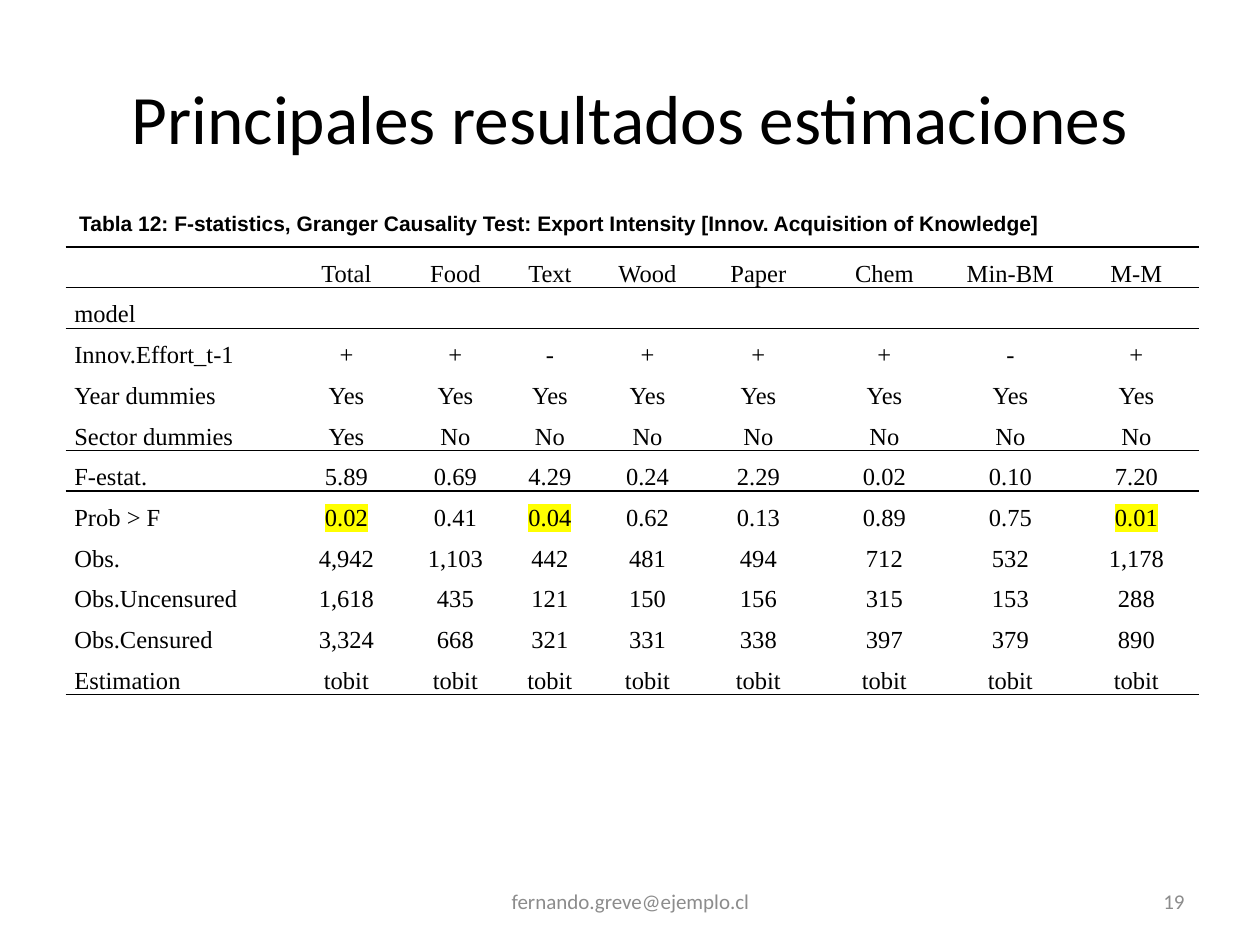
import dataclasses

import pptx
import pptx.dml.color
import pptx.enum.text
import pptx.oxml.ns
import pptx.util
from lxml import etree

Inches, Pt = pptx.util.Inches, pptx.util.Pt
ALIGN = pptx.enum.text.PP_ALIGN
MIDDLE = pptx.enum.text.MSO_ANCHOR.MIDDLE
qn = pptx.oxml.ns.qn

COLORS = {"text": "000000", "footer": "8C8C8C", "mark": "FFFF00"}
NO_STYLE = "{2D5ABB26-0587-4C30-8999-92F81FD0307C}"


@dataclasses.dataclass
class Label:
    text: str
    box: tuple[float, float, float, float]
    size: float
    align: ALIGN
    font: str = "Calibri"
    color: str = "text"
    bold: bool = False
    wrap: bool = True


LABELS = [
    Label("Principales resultados estimaciones", (0.5, 0.3, 9, 1.25), 39.6, ALIGN.CENTER),
    Label("Tabla 12: F-statistics, Granger Causality Test: Export Intensity "
          "[Innov. Acquisition of Knowledge]", (0.53, 1.62, 7.91, 0.3), 12,
          ALIGN.LEFT, font="Arial", bold=True, wrap=False),
    Label("19", (7.17, 6.95, 2.33, 0.4), 12, ALIGN.RIGHT, color="footer"),
    Label("fernando.greve@ejemplo.cl", (3.42, 6.95, 3.17, 0.4), 12, ALIGN.CENTER,
          color="footer"),
]

# Table contents: row label, then one value per sector
ROWS = [
    ["", "Total", "Food", "Text", "Wood", "Paper", "Chem", "Min-BM", "M-M"],
    ["model"] + [""] * 8,
    ["Innov.Effort_t-1", "+", "+", "-", "+", "+", "+", "-", "+"],
    ["Year dummies"] + ["Yes"] * 8,
    ["Sector dummies", "Yes"] + ["No"] * 7,
    ["F-estat.", "5.89", "0.69", "4.29", "0.24", "2.29", "0.02", "0.10", "7.20"],
    ["Prob > F", "0.02", "0.41", "0.04", "0.62", "0.13", "0.89", "0.75", "0.01"],
    ["Obs.", "4,942", "1,103", "442", "481", "494", "712", "532", "1,178"],
    ["Obs.Uncensured", "1,618", "435", "121", "150", "156", "315", "153", "288"],
    ["Obs.Censured", "3,324", "668", "321", "331", "338", "397", "379", "890"],
    ["Estimation"] + ["tobit"] * 8,
]
COL_WIDTHS = [1.72, 1.02, 0.71, 0.79, 0.76, 1, 1, 1, 1]
ROW_HEIGHT = 0.32
RULES = {0, 1, 5, len(ROWS)}  # row boundaries that carry a line
PROB_ROW, SIGNIFICANCE = 6, 0.05


def set_attrs(obj, values: dict) -> None:
    for name, value in values.items():
        setattr(obj, name, value)


def add_run(p, text: str, font: str, size: float, color: str, bold: bool = False):
    r = p.add_run()
    r.text = text
    set_attrs(r.font, {"name": font, "size": Pt(size), "bold": bold})
    r.font.color.rgb = pptx.dml.color.RGBColor.from_string(COLORS[color])
    return r


def add_label(slide, label: Label) -> None:
    sp = slide.shapes.add_textbox(*map(Inches, label.box))
    tf = sp.text_frame
    set_attrs(tf, {"word_wrap": label.wrap, "vertical_anchor": MIDDLE})
    p = tf.paragraphs[0]
    p.alignment = label.align
    add_run(p, label.text, label.font, label.size, label.color, label.bold)


def add_solid(parent, color: str) -> None:
    fill = etree.SubElement(parent, qn("a:solidFill"))
    etree.SubElement(fill, qn("a:srgbClr"), val=COLORS[color])


def highlight(r) -> None:
    mark = etree.Element(qn("a:highlight"))
    etree.SubElement(mark, qn("a:srgbClr"), val=COLORS["mark"])
    r.font._element.find(qn("a:latin")).addprevious(mark)


def add_border(cell, side: str) -> None:
    tc_pr = cell._tc.get_or_add_tcPr()
    ln = etree.SubElement(tc_pr, qn(f"a:ln{side}"), w=str(Pt(1)))
    add_solid(ln, "text")


def fill_cell(cell, row: int, col: int, text: str) -> None:
    set_attrs(cell, {"margin_left": Inches(0.07), "margin_right": Inches(0.07),
                     "margin_top": 0, "margin_bottom": 0})
    for side, boundary in (("T", row), ("B", row + 1)):
        if boundary in RULES:
            add_border(cell, side)
    cell.fill.background()
    if not text:
        return
    p = cell.text_frame.paragraphs[0]
    set_attrs(p, {"alignment": ALIGN.CENTER if col else ALIGN.JUSTIFY,
                  "line_spacing": 1.5})
    r = add_run(p, text, "Times New Roman", 14, "text")
    if row == PROB_ROW and col and float(text) < SIGNIFICANCE:
        highlight(r)


def add_results_table(slide) -> None:
    frame = slide.shapes.add_table(
        len(ROWS), len(COL_WIDTHS), Inches(0.52), Inches(1.96),
        Inches(sum(COL_WIDTHS)), Inches(ROW_HEIGHT * len(ROWS)))
    table = frame.table
    set_attrs(table, {"first_row": False, "horz_banding": False})
    table._tbl.tblPr.find(qn("a:tableStyleId")).text = NO_STYLE
    for column, width in zip(table.columns, COL_WIDTHS):
        column.width = Inches(width)
    for i, values in enumerate(ROWS):
        table.rows[i].height = Inches(ROW_HEIGHT)
        for j, text in enumerate(values):
            fill_cell(table.cell(i, j), i, j, text)


def main() -> None:
    prs = pptx.Presentation()
    set_attrs(prs, {"slide_width": Inches(10), "slide_height": Inches(7.5)})
    slide = prs.slides.add_slide(prs.slide_layouts[6])
    # Results table
    add_results_table(slide)
    # Title, caption and footer
    for label in LABELS:
        add_label(slide, label)
    prs.save("out.pptx")


if __name__ == "__main__":
    main()
